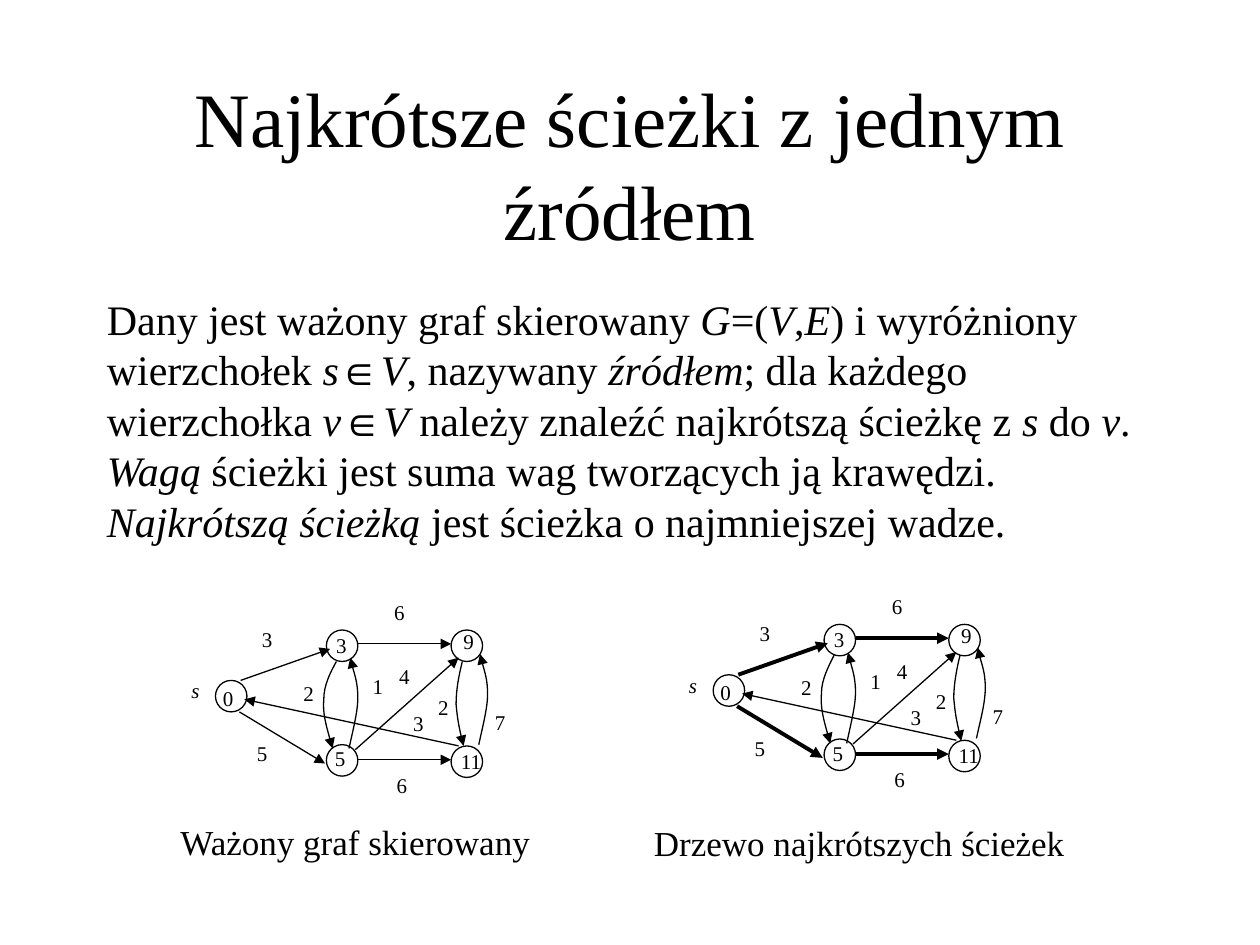
from typing import NamedTuple

from lxml.etree import SubElement
from pptx import Presentation
from pptx.dml.color import RGBColor
from pptx.enum.shapes import MSO_CONNECTOR as Connector, MSO_SHAPE as Shape
from pptx.enum.text import MSO_ANCHOR as Anchor, MSO_AUTO_SIZE as AutoSize, PP_ALIGN as Align
from pptx.oxml.ns import qn
from pptx.util import Inches, Pt

BLACK = RGBColor(0, 0, 0)
SERIF, SANS = "Times New Roman", "Arial"
COLUMNS, ROWS = 1000, 750
CELL = Inches(10) // COLUMNS
NODE_SIZE = 25
LABEL_HEIGHT = 30
THIN, THICK = 0.75, 2.25


class Point(NamedTuple):
    x: float
    y: float

    def shifted(self, origin: "Point") -> "Point":
        return Point(self.x + origin.x, self.y + origin.y)


class Label(NamedTuple):
    text: str
    corner: Point
    width: float = 33


class Edge(NamedTuple):
    start: Point
    end: Point
    in_tree: bool = False


class Graph(NamedTuple):
    origin: Point
    tree_width: float
    caption: str
    caption_corner: Point
    caption_width: float


NODES = [Point(29, 69), Point(117, 29), Point(216, 29), Point(117, 120), Point(216, 121)]
LABELS = [
    Label("0", Point(25, 68)), Label("3", Point(115, 26)), Label("9", Point(216, 23)),
    Label("5", Point(114, 116)), Label("11", Point(214, 118), 42),
    Label("*s*", Point(0, 62)), Label("3", Point(56, 21)), Label("6", Point(161, 0)),
    Label("5", Point(52, 112)), Label("7", Point(241, 87)), Label("2", Point(89, 64)),
    Label("1", Point(144, 59)), Label("6", Point(163, 137)), Label("2", Point(196, 75)),
    Label("4", Point(165, 51)), Label("3", Point(176, 88)),
]
EDGES = [
    Edge(Point(49, 69), Point(120, 44), True),
    Edge(Point(48, 94), Point(116, 135), True),
    Edge(Point(142, 40), Point(216, 40), True),
    Edge(Point(142, 132), Point(216, 132), True),
    Edge(Point(140, 124), Point(222, 51)),
    Edge(Point(222, 121), Point(52, 84)),
]
UPWARD = [Point(135, 123), Point(138, 109), Point(142, 94), Point(142, 83),
          Point(142, 71), Point(137, 56), Point(136, 51)]
CURVES = [
    [Point(125, 54), Point(120, 63), Point(115, 73), Point(115, 84),
     Point(114, 95), Point(118, 109), Point(122, 123)],
    UPWARD,
    [point.shifted(Point(103, -3)) for point in UPWARD],
    [Point(225, 54), Point(222, 66), Point(220, 77), Point(220, 88),
     Point(221, 99), Point(223, 110), Point(226, 121)],
]
GRAPHS = [
    Graph(Point(142, 471), THIN, "Ważony graf skierowany", Point(132, 646), 300),
    Graph(Point(537, 466.5), THICK, "Drzewo najkrótszych ścieżek", Point(509, 647), 346),
]
TITLE = "Najkrótsze ścieżki z jednym źródłem"
DEFINITION = (
    "Dany jest ważony graf skierowany *G*=(*V*,*E*) i wyróżniony wierzchołek *s*∈*V*, "
    "nazywany *źródłem*; dla każdego wierzchołka *v*∈*V* należy znaleźć najkrótszą "
    "ścieżkę z *s* do *v*. *Wagą* ścieżki jest suma wag tworzących ją krawędzi. "
    "*Najkrótszą ścieżką* jest ścieżka o najmniejszej wadze."
)


def cells(count: float) -> int:
    return round(count * CELL)


def add_text(shapes, text: str, corner: Point, width: float, height: float, *, size: float,
             align=Align.LEFT, anchor=Anchor.TOP, wrap=True, grow=True) -> None:
    """Add a text box; parts between asterisks are italic."""
    box = shapes.add_textbox(cells(corner.x), cells(corner.y), cells(width), cells(height))
    frame = box.text_frame
    frame.word_wrap = wrap
    frame.auto_size = AutoSize.SHAPE_TO_FIT_TEXT if grow else AutoSize.NONE
    frame.vertical_anchor = anchor
    paragraph = frame.paragraphs[0]
    paragraph.alignment = align
    for index, part in enumerate(text.split("*")):
        if part:
            run = paragraph.add_run()
            run.text = part
            run.font.name = SANS if part == "∈" else SERIF
            run.font.size = Pt(size)
            run.font.italic = index % 2 == 1
            run.font.color.rgb = BLACK


def style_line(shape, width: float, arrow: bool = False) -> None:
    shape.line.color.rgb = BLACK
    shape.line.width = Pt(width)
    if arrow:
        SubElement(shape.line._get_or_add_ln(), qn("a:tailEnd"), type="triangle")


def add_line(shapes, start: Point, end: Point, width: float, arrow: bool = True) -> None:
    connector = shapes.add_connector(Connector.STRAIGHT, cells(start.x), cells(start.y),
                                     cells(end.x), cells(end.y))
    style_line(connector, width, arrow)
    SubElement(connector._element.spPr, qn("a:effectLst"))


def add_node(shapes, corner: Point) -> None:
    node = shapes.add_shape(Shape.OVAL, cells(corner.x), cells(corner.y),
                            cells(NODE_SIZE), cells(NODE_SIZE))
    node.shadow.inherit = False
    node.fill.background()
    style_line(node, THIN)


def add_curve(shapes, points: list[Point]) -> None:
    """Draw a start point followed by Bézier triples (two controls and an end)."""
    builder = shapes.build_freeform(*points[0], scale=CELL)
    builder.add_line_segments(points[1:], close=False)
    curve = builder.convert_to_shape()
    outline = next(curve._element.iter(qn("a:path")))
    segments = outline.findall(qn("a:lnTo"))
    for first in range(0, len(segments), 3):
        bezier = SubElement(outline, qn("a:cubicBezTo"))
        for segment in segments[first:first + 3]:
            bezier.append(segment[0])
            outline.remove(segment)
    curve.shadow.inherit = False
    curve.fill.background()
    style_line(curve, THIN, arrow=True)


def add_graph(slide, graph: Graph) -> None:
    shapes = slide.shapes.add_group_shape().shapes
    for corner in NODES:
        add_node(shapes, corner.shifted(graph.origin))
    for edge in EDGES:
        add_line(shapes, edge.start.shifted(graph.origin), edge.end.shifted(graph.origin),
                 graph.tree_width if edge.in_tree else THIN)
    for curve in CURVES:
        add_curve(shapes, [point.shifted(graph.origin) for point in curve])
    for label in LABELS:
        add_text(shapes, label.text, label.corner.shifted(graph.origin), label.width,
                 LABEL_HEIGHT, size=12)
    add_text(slide.shapes, graph.caption, graph.caption_corner, graph.caption_width, 44,
             size=20, align=Align.CENTER, anchor=Anchor.MIDDLE, wrap=False)


def main() -> None:
    presentation = Presentation()
    presentation.slide_width = cells(COLUMNS)
    presentation.slide_height = cells(ROWS)
    slide = presentation.slides.add_slide(presentation.slide_layouts[6])
    add_text(slide.shapes, TITLE, Point(75, 67), 850, 125, size=44, align=Align.CENTER,
             anchor=Anchor.MIDDLE, grow=False)
    add_text(slide.shapes, DEFINITION, Point(75, 228), 850, 210, size=24)
    add_line(slide.shapes, Point(500, 447), Point(500, 447), THIN, arrow=False)
    for graph in GRAPHS:
        add_graph(slide, graph)
    presentation.save("out.pptx")


if __name__ == "__main__":
    main()
